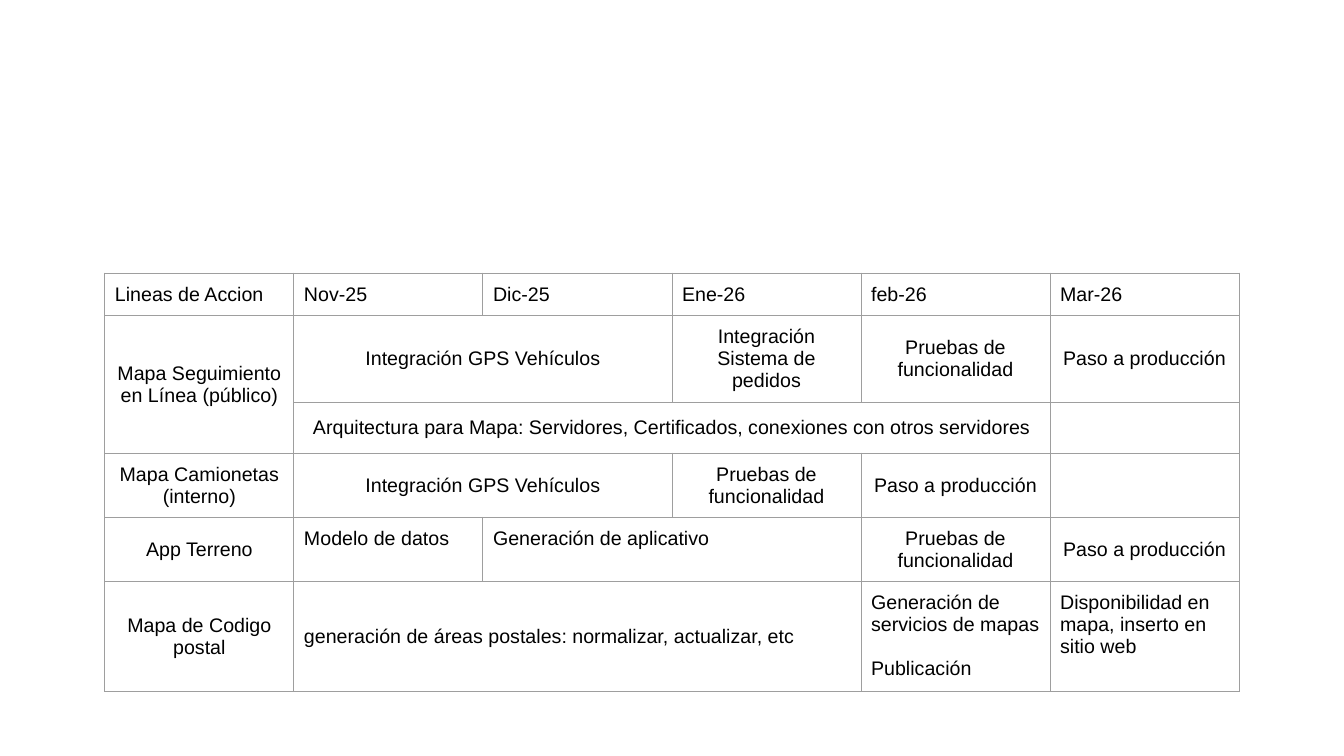
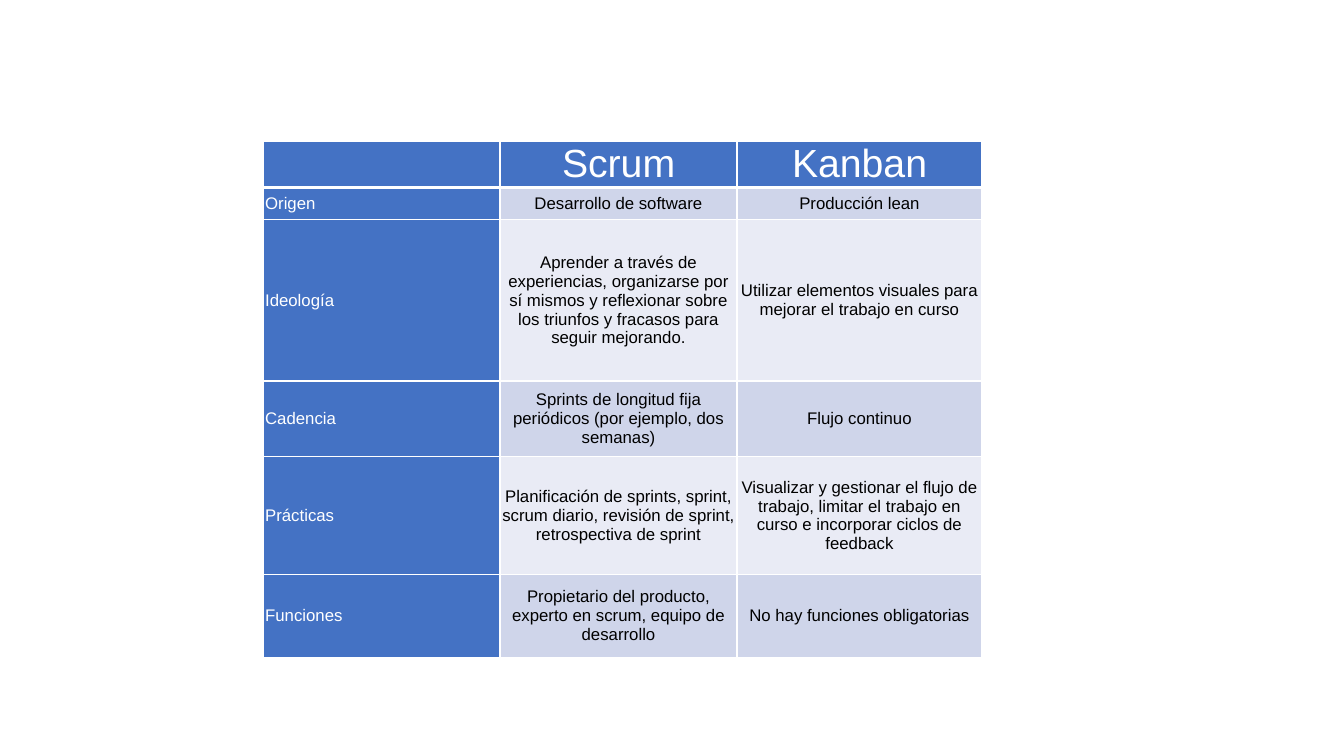
"""Build two table slides: a project schedule and a comparison of Scrum and Kanban."""
import dataclasses

import pptx
import pptx.dml.color
import pptx.enum.text
import pptx.oxml
import pptx.oxml.ns
import pptx.util

Inches = pptx.util.Inches
Pt = pptx.util.Pt
ALIGN = pptx.enum.text.PP_ALIGN
ANCHOR = pptx.enum.text.MSO_ANCHOR


@dataclasses.dataclass(frozen=True)
class Theme:
    """Colours, font and sizes that the slides share."""
    font: str = "Arial"
    ink: str = "000000"
    white: str = "FFFFFF"
    rule: str = "9E9E9E"
    blue: str = "4472C4"
    bands: tuple = ("CFD5EA", "E9EBF5")
    plan_size: int = 14
    head_size: int = 28
    body_size: int = 12
    gap: int = 16


@dataclasses.dataclass(frozen=True)
class Look:
    """Format of one kind of table cell."""
    size: int
    ink: str
    inset: float
    fill: str = ""
    align: ALIGN = ALIGN.LEFT
    anchor: ANCHOR = ANCHOR.MIDDLE


THEME = Theme()

TOP = Look(THEME.plan_size, THEME.ink, 0.1, anchor=ANCHOR.TOP)
LEFT = dataclasses.replace(TOP, anchor=ANCHOR.MIDDLE)
MID = dataclasses.replace(LEFT, align=ALIGN.CENTER)

HEAD = Look(THEME.head_size, THEME.white, 0.01, THEME.blue, ALIGN.CENTER, ANCHOR.TOP)
LABEL = Look(THEME.body_size, THEME.white, 0.02, THEME.blue)
BANDS = [Look(THEME.body_size, THEME.ink, 0.02, fill, ALIGN.CENTER)
         for fill in THEME.bands]

GPS = "Integración GPS Vehículos"
TEST = "Pruebas de funcionalidad"
LAUNCH = "Paso a producción"

PLAN = [
    ["Lineas de Accion", "Nov-25", "Dic-25", "Ene-26", "feb-26", "Mar-26"],
    ["Mapa Seguimiento en Línea (público)", GPS, "",
     "Integración Sistema de pedidos", TEST, LAUNCH],
    ["", "Arquitectura para Mapa: Servidores, Certificados, conexiones con otros servidores",
     "", "", "", ""],
    ["Mapa Camionetas (interno)", GPS, "", TEST, LAUNCH, ""],
    ["App Terreno", "Modelo de datos", "Generación de aplicativo", "", TEST, LAUNCH],
    ["Mapa de Codigo postal",
     "generación de áreas postales: normalizar, actualizar, etc", "", "",
     "Generación de servicios de mapas\nPublicación",
     "Disponibilidad en mapa, inserto en sitio web"],
]
SPANS = [((1, 0), (2, 0)), ((1, 1), (1, 2)), ((2, 1), (2, 4)),
         ((3, 1), (3, 2)), ((4, 2), (4, 3)), ((5, 1), (5, 3))]
PLAN_LOOKS = {(4, 1): TOP, (4, 2): TOP, (5, 1): LEFT, (5, 4): TOP, (5, 5): TOP}

METHODS = [
    ["", "Scrum", "Kanban"],
    ["Origen", "Desarrollo de software", "Producción lean"],
    ["Ideología",
     "Aprender a través de experiencias, organizarse por sí mismos y reflexionar "
     "sobre los triunfos y fracasos para seguir mejorando.",
     "Utilizar elementos visuales para mejorar el trabajo en curso"],
    ["Cadencia", "Sprints de longitud fija periódicos (por ejemplo, dos semanas)",
     "Flujo continuo"],
    ["Prácticas",
     "Planificación de sprints, sprint, scrum diario, revisión de sprint, "
     "retrospectiva de sprint",
     "Visualizar y gestionar el flujo de trabajo, limitar el trabajo en curso e "
     "incorporar ciclos de feedback"],
    ["Funciones", "Propietario del producto, experto en scrum, equipo de desarrollo",
     "No hay funciones obligatorias"],
]


def plan_look(row, col):
    """Return the look of a schedule cell."""
    return TOP if row == 0 else PLAN_LOOKS.get((row, col), MID)


def method_look(row, col):
    """Return the look of a comparison cell."""
    if row == 0:
        return HEAD
    return LABEL if col == 0 else BANDS[(row - 1) % 2]


def add_edges(cell, ink, widths):
    """Draw the left, right, top and bottom borders of a cell."""
    props = cell._tc.get_or_add_tcPr()
    for side, width in zip("LRTB", widths):
        props.append(pptx.oxml.parse_xml(
            f'<a:ln{side} {pptx.oxml.ns.nsdecls("a")} w="{Pt(width)}">'
            f'<a:solidFill><a:srgbClr val="{ink}"/></a:solidFill></a:ln{side}>'))


def fill_cell(cell, text, look):
    """Write a cell and format it."""
    if look.fill:
        cell.fill.solid()
        cell.fill.fore_color.rgb = pptx.dml.color.RGBColor.from_string(look.fill)
    else:
        cell.fill.background()
    cell.margin_left = cell.margin_right = Inches(look.inset)
    cell.margin_top = cell.margin_bottom = Inches(look.inset)
    cell.vertical_anchor = look.anchor
    cell.text_frame.text = text
    for index, para in enumerate(cell.text_frame.paragraphs):
        para.alignment = look.align
        if index:
            para.space_before = Pt(THEME.gap)
        for run in para.runs:
            run.font.name = THEME.font
            run.font.size = Pt(look.size)
            run.font.color.rgb = pptx.dml.color.RGBColor.from_string(look.ink)


def add_grid(slide, place, widths, heights, texts, pick, ink, line, rule=None, spans=()):
    """Add a table; pick gives each look and rule is the width under the header."""
    left, top = place
    grid = slide.shapes.add_table(
        len(heights), len(widths), Inches(left), Inches(top),
        Inches(sum(widths)), Inches(sum(heights))).table
    grid.first_row = grid.horz_banding = False
    for part, width in zip(grid.columns, widths):
        part.width = Inches(width)
    for part, height in zip(grid.rows, heights):
        part.height = Inches(height)
    for start, end in spans:
        grid.cell(*start).merge(grid.cell(*end))
    rule = rule or line
    for row, words in enumerate(texts):
        for col, text in enumerate(words):
            cell = grid.cell(row, col)
            add_edges(cell, ink, (line, line, rule if row == 1 else line,
                                  rule if row == 0 else line))
            if not cell.is_spanned:
                fill_cell(cell, text, pick(row, col))


def main():
    """Build and save the deck."""
    deck = pptx.Presentation()
    deck.slide_width, deck.slide_height = Inches(13.33), Inches(7.5)
    blank = deck.slide_layouts[6]
    add_grid(deck.slides.add_slide(blank), (1.04, 2.71), [1.875] * 6,
             [0.42, 0.86, 0.42, 0.63, 0.63, 1.09], PLAN, plan_look,
             THEME.rule, 0.75, spans=SPANS)
    add_grid(deck.slides.add_slide(blank), (2.61, 1.4), [2.35, 2.35, 2.43],
             [0.46, 0.32, 1.6, 0.75, 1.17, 0.82], METHODS, method_look,
             THEME.white, 1, rule=3)
    deck.save("out.pptx")


if __name__ == "__main__":
    main()
